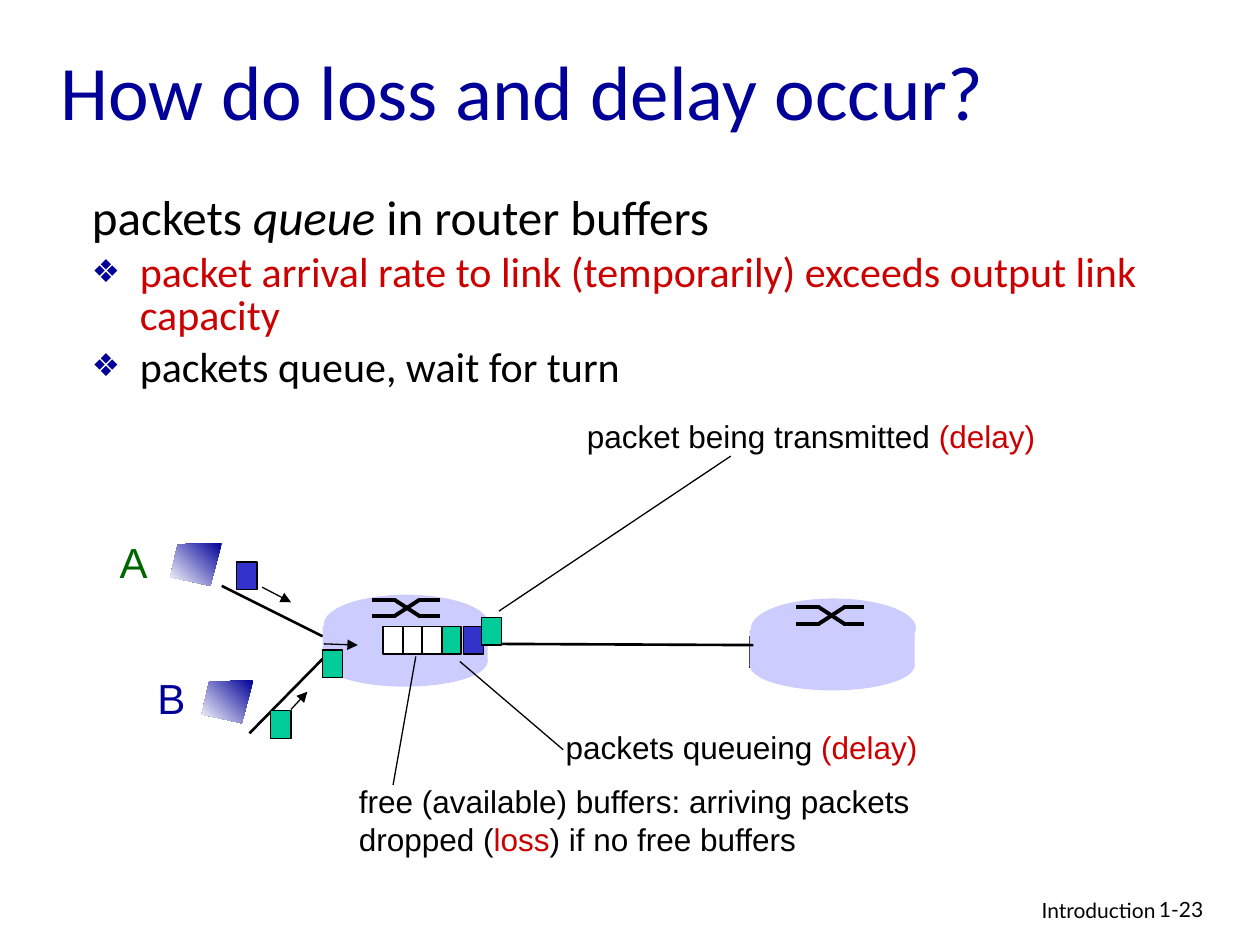
from typing import NamedTuple

from lxml.etree import SubElement
from pptx import Presentation
from pptx.dml.color import RGBColor
from pptx.enum.dml import MSO_LINE
from pptx.enum.shapes import MSO_CONNECTOR, MSO_SHAPE
from pptx.enum.text import MSO_ANCHOR, MSO_AUTO_SIZE, PP_ALIGN
from pptx.oxml.ns import qn
from pptx.util import Inches, Pt

BLACK = RGBColor(0x00, 0x00, 0x00)
WHITE = RGBColor(0xFF, 0xFF, 0xFF)
NAVY = RGBColor(0x00, 0x00, 0x99)
RED = RGBColor(0xCC, 0x00, 0x00)
DARK_GREEN = RGBColor(0x00, 0x66, 0x00)
PACKET_GREEN = RGBColor(0x00, 0xCC, 0x99)
PACKET_BLUE = RGBColor(0x33, 0x33, 0xCC)
LAVENDER = RGBColor(0xCC, 0xCC, 0xFF)


class Span(NamedTuple):
    text: str
    color: RGBColor = BLACK
    size: float = 18
    font: str = "Arial"
    italic: bool = False


class Line(NamedTuple):
    x1: float
    y1: float
    x2: float
    y2: float
    weight: float = 0.75
    arrow: bool = False


class Packet(NamedTuple):
    left: float
    top: float
    color: RGBColor


class Label(NamedTuple):
    left: float
    top: float
    width: float
    height: float
    lines: list[list[Span]]
    align: PP_ALIGN = PP_ALIGN.LEFT
    wrap: bool = False


class Router(NamedTuple):
    left: float
    top: float
    cross_left: float
    cross_top: float


class Host(NamedTuple):
    left: float
    top: float


def add_spans(paragraph, spans: list[Span]) -> None:
    for span in spans:
        run = paragraph.add_run()
        run.text = span.text
        run.font.name = span.font
        run.font.size = Pt(span.size)
        run.font.italic = span.italic
        run.font.color.rgb = span.color


def place(shape, left: float, top: float, width: float, height: float) -> None:
    shape.left, shape.top = Inches(left), Inches(top)
    shape.width, shape.height = Inches(width), Inches(height)


def add_line(slide, line: Line) -> None:
    connector = slide.shapes.add_connector(
        MSO_CONNECTOR.STRAIGHT, *(Inches(v) for v in line[:4]))
    connector.line.color.rgb = BLACK
    connector.line.width = Pt(line.weight)
    connector.line.dash_style = MSO_LINE.SOLID
    properties = connector._element.spPr
    if line.arrow:
        SubElement(properties.find(qn("a:ln")), qn("a:tailEnd"), type="triangle")
    SubElement(properties, qn("a:effectLst"))


def add_block(slide, kind: MSO_SHAPE, left: float, top: float, width: float,
              height: float, color: RGBColor, outlined: bool = False) -> None:
    block = slide.shapes.add_shape(kind, *(Inches(v) for v in (left, top, width, height)))
    block.shadow.inherit = False
    block.fill.solid()
    block.fill.fore_color.rgb = color
    if outlined:
        block.line.color.rgb = BLACK
        block.line.width = Pt(0.75)
    else:
        block.line.fill.background()


def add_router(slide, router: Router) -> None:
    """Draw a cylinder with a crossed-lines symbol on its top."""
    left, top = router.left, router.top
    add_block(slide, MSO_SHAPE.OVAL, left, top + 0.33, 1.31, 0.4, LAVENDER)
    add_block(slide, MSO_SHAPE.RECTANGLE, left, top + 0.25, 1.31, 0.29, LAVENDER)
    add_block(slide, MSO_SHAPE.OVAL, left + 0.01, top, 1.31, 0.47, LAVENDER)
    x, upper = router.cross_left, router.cross_top
    lower = upper + 0.13
    for start, end in ((upper, lower), (lower, upper)):
        add_line(slide, Line(x, start, x + 0.19, start, 2.25))
        add_line(slide, Line(x + 0.18, start, x + 0.38, end, 2.25))
        add_line(slide, Line(x + 0.37, end, x + 0.54, end, 2.25))


def add_host(slide, host: Host) -> None:
    corners = [(Inches(host.left + x), Inches(host.top + y))
               for x, y in ((0.41, 0), (0.06, 0.01), (0, 0.27), (0.32, 0.34))]
    builder = slide.shapes.build_freeform(*corners[0])
    builder.add_line_segments(corners[1:], close=True)
    screen = builder.convert_to_shape()
    screen.shadow.inherit = False
    screen.line.fill.background()
    screen.fill.gradient()
    screen.fill.gradient_angle = 225
    for stop, color, position in zip(screen.fill.gradient_stops, (NAVY, WHITE), (0, 1)):
        stop.color.rgb = color
        stop.position = position


def add_label(slide, label: Label) -> None:
    box = slide.shapes.add_textbox(*(Inches(v) for v in label[:4]))
    frame = box.text_frame
    frame.word_wrap = label.wrap
    for index, spans in enumerate(label.lines):
        paragraph = frame.add_paragraph() if index else frame.paragraphs[0]
        paragraph.alignment = label.align
        add_spans(paragraph, spans)


def fill_title(title) -> None:
    place(title, 0.38, 0.09, 8.5, 1.25)
    title.text_frame.vertical_anchor = MSO_ANCHOR.MIDDLE
    title.text_frame.auto_size = MSO_AUTO_SIZE.NONE
    heading = title.text_frame.paragraphs[0]
    heading.alignment = PP_ALIGN.LEFT
    add_spans(heading, [Span("How do loss and delay occur?", NAVY, 44, "Calibri")])


def fill_body(body) -> None:
    """Write an unbulleted lead line followed by diamond bullets."""
    place(body, 0.63, 1.5, 9.37, 2.31)
    frame = body.text_frame
    frame.auto_size = MSO_AUTO_SIZE.NONE
    points = [
        [Span("packets ", BLACK, 28, "Calibri"),
         Span("queue", BLACK, 28, "Calibri", True),
         Span(" in router buffers", BLACK, 28, "Calibri")],
        [Span("packet arrival rate to link (temporarily) exceeds output link capacity",
              RED, 24, "Calibri")],
        [Span("packets queue, wait for turn", BLACK, 24, "Calibri")],
    ]
    for index, spans in enumerate(points):
        paragraph = frame.add_paragraph() if index else frame.paragraphs[0]
        properties = paragraph._p.get_or_add_pPr()
        properties.set("marL", str(Inches(0.38)))
        properties.set("indent", str(-Inches(0.38)))
        if index:
            bullet_color = SubElement(properties, qn("a:buClr"))
            SubElement(bullet_color, qn("a:srgbClr"), val=str(NAVY))
            SubElement(properties, qn("a:buSzPct"), val="75000")
            SubElement(properties, qn("a:buChar"), char="❖")
        else:
            SubElement(properties, qn("a:buNone"))
            paragraph.space_before = Pt(0)
        paragraph.line_spacing = 0.85
        add_spans(paragraph, spans)


ROUTERS = [Router(2.56, 4.72, 2.95, 4.76), Router(5.95, 4.75, 6.32, 4.82)]
HOSTS = [Host(1.35, 4.31), Host(1.6, 5.4)]
LINKS = [Line(1.76, 4.65, 2.56, 5.05, 1.5), Line(1.98, 5.82, 2.56, 5.23, 1.5),
         Line(3.86, 5.11, 5.98, 5.12, 1.5)]
MOTION_ARROWS = [Line(2.57, 5.11, 2.84, 5.12, arrow=True),
                 Line(2.31, 5.63, 2.44, 5.49, arrow=True),
                 Line(2.08, 4.66, 2.31, 4.78, arrow=True)]
LEADERS = [Line(5.8, 3.62, 3.96, 4.85), Line(4.47, 5.95, 3.65, 5.25),
           Line(3.12, 6.23, 3.3, 5.21)]
QUEUE_COLORS = [PACKET_BLUE, PACKET_GREEN, WHITE, WHITE, WHITE]
QUEUE = [Packet(left, 4.97, color)
         for left, color in zip((3.68, 3.5, 3.35, 3.19, 3.04), QUEUE_COLORS)]
MOVING_PACKETS = [Packet(2.56, 5.16, PACKET_GREEN), Packet(3.82, 4.9, PACKET_GREEN),
                  Packet(1.88, 4.46, PACKET_BLUE), Packet(2.15, 5.64, PACKET_GREEN)]
LABELS = [
    Label(0.85, 4.21, 0.42, 0.5, [[Span("A", DARK_GREEN, 24)]]),
    Label(1.15, 5.29, 0.42, 0.5, [[Span("B", NAVY, 24)]]),
    Label(4.56, 3.26, 3.76, 0.4, [[Span("packet being transmitted "), Span("(delay)", RED)]]),
    Label(4.39, 5.73, 2.99, 0.4, [[Span("packets queueing "), Span("(delay)", RED)]]),
    Label(2.75, 6.16, 4.65, 0.7, [
        [Span("free (available) buffers: arriving packets")],
        [Span("dropped ("), Span("loss", RED), Span(") if no free buffers")]]),
    Label(6.1, 7.07, 3.17, 0.31, [[Span("Introduction", BLACK, 12, "Lato")]],
          PP_ALIGN.RIGHT, True),
    Label(9.1, 7.07, 0.74, 0.3, [[Span("1-23", BLACK, 12, "Lato")]], wrap=True),
]


def main() -> None:
    presentation = Presentation()
    presentation.slide_width, presentation.slide_height = Inches(10), Inches(7.5)
    slide = presentation.slides.add_slide(presentation.slide_layouts[1])
    fill_title(slide.shapes.title)
    fill_body(slide.placeholders[1])
    add_line(slide, Line(5.95, 5.05, 5.95, 5.3, 1))
    for router in ROUTERS:
        add_router(slide, router)
    for line in LINKS:
        add_line(slide, line)
    for packet in QUEUE + MOVING_PACKETS:
        add_block(slide, MSO_SHAPE.RECTANGLE, packet.left, packet.top, 0.16, 0.22,
                  packet.color, outlined=True)
    for line in MOTION_ARROWS + LEADERS:
        add_line(slide, line)
    for host in HOSTS:
        add_host(slide, host)
    for label in LABELS:
        add_label(slide, label)
    presentation.save("out.pptx")


if __name__ == "__main__":
    main()
